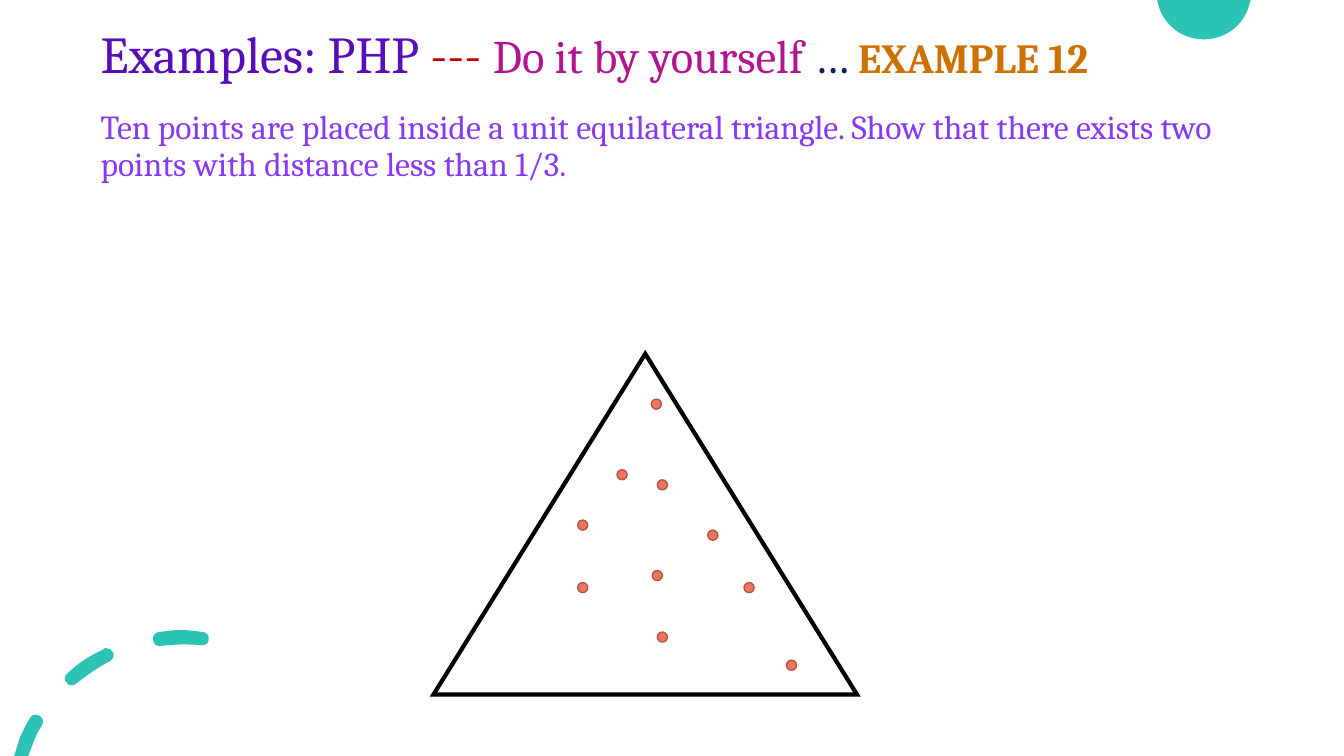
from lxml import etree
from pptx import Presentation
from pptx.dml.color import RGBColor
from pptx.enum.shapes import MSO_SHAPE
from pptx.enum.text import MSO_ANCHOR
from pptx.oxml.ns import qn
from pptx.util import Inches, Pt

TRIANGLE = MSO_SHAPE.ISOSCELES_TRIANGLE
OVAL = MSO_SHAPE.OVAL
TOP, MIDDLE = MSO_ANCHOR.TOP, MSO_ANCHOR.MIDDLE

FONT = "Cambria"
TEAL = "2CC3B4"
DOT_SIZE = 0.1

# An outline is a start point, then lines (x, y) and cubic curves (x1, y1, x2, y2, x, y).
CORNER_DISC = [
    [(11.48, 0), (12.41, 0), (12.4, 0.01),
     (12.36, 0.23, 12.17, 0.39, 11.94, 0.39),
     (11.71, 0.39, 11.52, 0.23, 11.48, 0.01)],
]
ARC_DASHES = [
    [(0.36, 7.09), (0.34, 7.08, 0.31, 7.1, 0.3, 7.12),
     (0.26, 7.18, 0.23, 7.25, 0.2, 7.31), (0.14, 7.5), (0.28, 7.5), (0.33, 7.37),
     (0.35, 7.31, 0.38, 7.25, 0.42, 7.19), (0.44, 7.16, 0.42, 7.11, 0.39, 7.1),
     (0.38, 7.09, 0.37, 7.09, 0.36, 7.09)],
    [(1.05, 6.43), (1.04, 6.43, 1.03, 6.43, 1.03, 6.44),
     (0.9, 6.5, 0.77, 6.58, 0.67, 6.68), (0.64, 6.7, 0.63, 6.75, 0.66, 6.77),
     (0.67, 6.79, 0.69, 6.8, 0.71, 6.8), (0.73, 6.8, 0.74, 6.79, 0.76, 6.78),
     (0.86, 6.7, 0.97, 6.62, 1.09, 6.56), (1.12, 6.54, 1.14, 6.5, 1.12, 6.47),
     (1.11, 6.44, 1.08, 6.43, 1.05, 6.43)],
    [(1.79, 6.25), (1.72, 6.25, 1.65, 6.26, 1.58, 6.27),
     (1.54, 6.27, 1.51, 6.31, 1.52, 6.35), (1.52, 6.38, 1.55, 6.41, 1.58, 6.41),
     (1.73, 6.39, 1.86, 6.39, 1.99, 6.4), (2.03, 6.41, 2.07, 6.38, 2.07, 6.35),
     (2.08, 6.31, 2.05, 6.27, 2.01, 6.27), (1.94, 6.26, 1.86, 6.25, 1.79, 6.25)],
]
DOTS = [(6.46, 3.96), (6.12, 4.66), (6.52, 4.76), (6.47, 5.66), (7.8, 6.55),
        (7.02, 5.26), (5.73, 5.16), (7.38, 5.78), (6.52, 6.27), (5.73, 5.78)]

TITLE = [("Examples: PHP ", 37, "560DBB", False),
         ("--- ", 37, "C00000", False),
         ("Do it by yourself ", 33.3, "B31591", False),
         ("… ", 33.3, "002060", False),
         ("EXAMPLE 12", 29.6, "CE7100", True),
         (" ", 44.4, "000000", False)]
PROBLEM = [("Ten points are placed inside a unit equilateral triangle. Show that "
            "there exists two points with distance less than 1/3.",
            24, "873AF2", False)]


def color(hex_code):
    return RGBColor.from_string(hex_code)


def end_point(segment):
    return Inches(segment[-2]), Inches(segment[-1])


def bend(shape, segments):
    """Replace the straight lines of a freeform by its cubic curves."""
    lines = list(shape.element.iter(qn("a:lnTo")))
    for line, segment in zip(lines, segments):
        if len(segment) == 2:
            continue
        line.tag = qn("a:cubicBezTo")
        for index in (2, 0):
            control = etree.Element(qn("a:pt"))
            control.set("x", str(Inches(segment[index]) - shape.left))
            control.set("y", str(Inches(segment[index + 1]) - shape.top))
            line.insert(0, control)


class SlideBuilder:
    def __init__(self, slide, font):
        self.slide = slide
        self.font = font

    def decoration(self, outlines, fill):
        builder = None
        for outline in outlines:
            start, *ends = [end_point(segment) for segment in outline]
            if builder is None:
                builder = self.slide.shapes.build_freeform(*start)
            else:
                builder.move_to(*start)
            builder.add_line_segments(ends, close=True)
        decoration = builder.convert_to_shape()
        bend(decoration, [segment for outline in outlines for segment in outline[1:]])
        self.paint(decoration, fill)

    def group(self):
        return self.slide.shapes.add_group_shape()

    def shape(self, group, preset, box, fill, line, line_width):
        shape = group.shapes.add_shape(preset, *map(Inches, box))
        self.paint(shape, fill, line, line_width)
        miter = etree.SubElement(shape.element.spPr.find(qn("a:ln")), qn("a:miter"))
        miter.set("lim", "800000")

    def paint(self, shape, fill, line=None, line_width=0):
        shape.shadow.inherit = False
        shape.fill.solid()
        shape.fill.fore_color.rgb = color(fill)
        if line:
            shape.line.color.rgb = color(line)
            shape.line.width = Pt(line_width)
        else:
            shape.line.fill.background()

    def text(self, box, pieces, anchor):
        frame = self.slide.shapes.add_textbox(*map(Inches, box)).text_frame
        frame.word_wrap = True
        frame.vertical_anchor = anchor
        paragraph = frame.paragraphs[0]
        paragraph.line_spacing = 0.9
        for words, size, hex_code, bold in pieces:
            run = paragraph.add_run()
            run.text = words
            run.font.name = self.font
            run.font.size = Pt(size)
            run.font.bold = bold
            run.font.color.rgb = color(hex_code)


def main():
    presentation = Presentation()
    presentation.slide_width = Inches(13.33)
    presentation.slide_height = Inches(7.5)
    slide = presentation.slides.add_slide(presentation.slide_layouts[6])
    builder = SlideBuilder(slide, FONT)

    builder.decoration(CORNER_DISC, TEAL)
    builder.decoration(ARC_DASHES, TEAL)

    figure = builder.group()
    builder.shape(figure, TRIANGLE, (4.3, 3.51, 4.2, 3.38), "FFFFFF", "000000", 3)
    for left, top in DOTS:
        builder.shape(figure, OVAL, (left, top, DOT_SIZE, DOT_SIZE),
                      "EE7661", "B05748", 1)

    builder.text((0.9, 0, 10.62, 1.05), TITLE, MIDDLE)
    builder.text((0.9, 1.05, 11.76, 1.13), PROBLEM, TOP)
    presentation.save("out.pptx")


if __name__ == "__main__":
    main()
